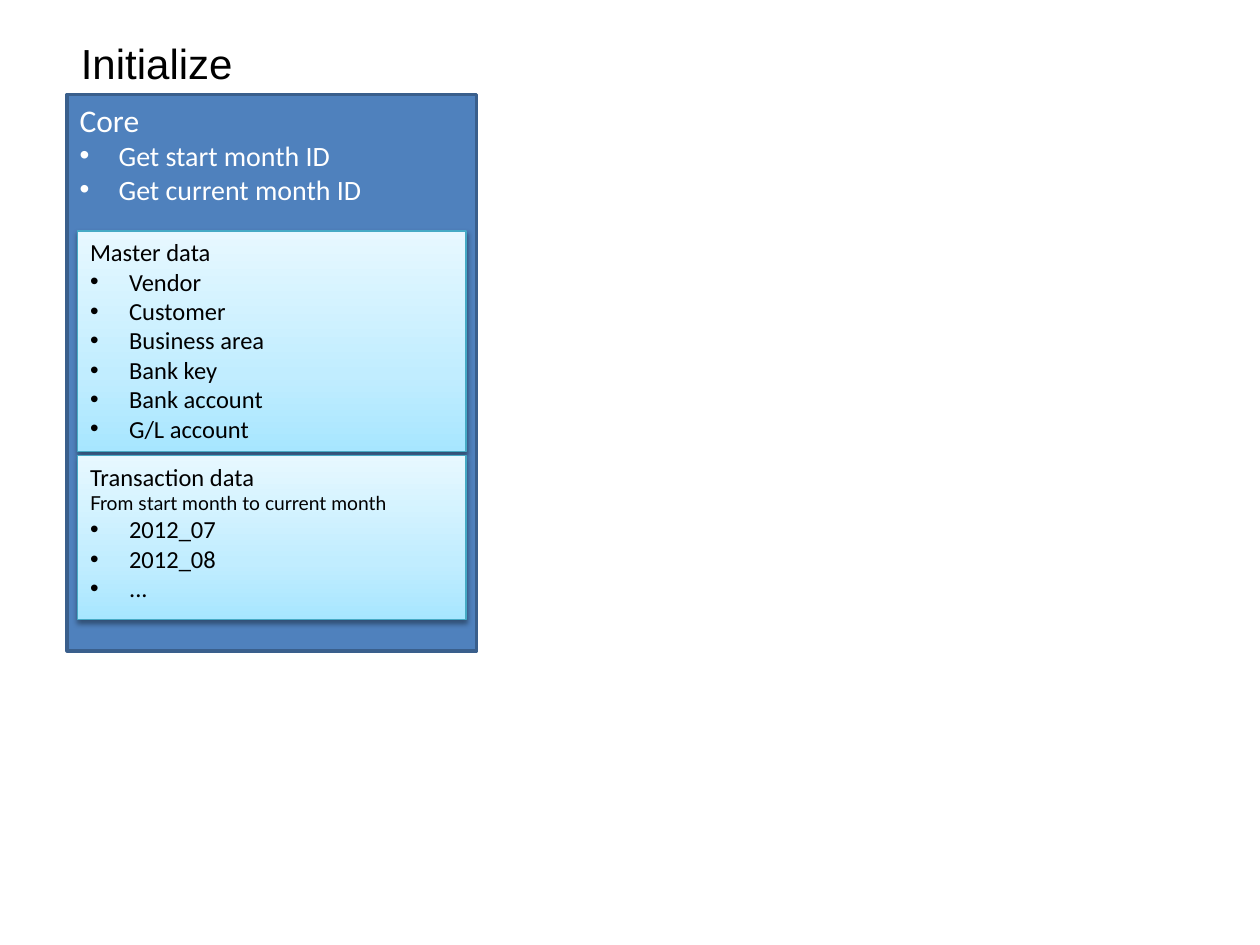
from dataclasses import dataclass

from lxml.etree import SubElement
from pptx import Presentation
from pptx.dml.color import RGBColor
from pptx.enum.shapes import MSO_SHAPE
from pptx.enum.text import MSO_ANCHOR, MSO_AUTO_SIZE, PP_ALIGN
from pptx.oxml.ns import qn
from pptx.util import Inches, Pt


@dataclass(frozen=True)
class Theme:
    core_fill: str = "4F81BD"
    core_line: str = "3A5F8C"
    panel_stops: tuple = ((0, "A7E6FF"), (35, "C1EDFF"), (100, "E7F8FF"))
    panel_line: str = "46AAC5"
    light: str = "FFFFFF"
    dark: str = "000000"
    title_font: str = "Arial"
    body_font: str = "Calibri"
    note_font: str = "Lato"
    title_size: int = 24
    core_size: int = 18
    step_size: int = 16
    panel_size: int = 14
    note_size: int = 11


theme = Theme()


def write(frame, text, *, size, color, font=theme.body_font, bullet=False):
    paragraph = frame.paragraphs[0]
    if paragraph.runs:
        paragraph = frame.add_paragraph()
    paragraph.alignment = PP_ALIGN.LEFT
    run = paragraph.add_run()
    run.text = text
    run.font.size = Pt(size)
    run.font.name = font
    run.font.color.rgb = RGBColor.from_string(color)
    if bullet:
        properties = paragraph._p.get_or_add_pPr()
        properties.set("marL", str(Inches(0.31)))
        properties.set("indent", str(-Inches(0.31)))
        SubElement(properties, qn("a:buFont"), typeface="Arial")
        SubElement(properties, qn("a:buChar"), char="•")


def add_box(slide, area, line_color, line_width):
    box = slide.shapes.add_shape(MSO_SHAPE.RECTANGLE, *area)
    box.shadow.inherit = False
    box.line.color.rgb = RGBColor.from_string(line_color)
    box.line.width = Pt(line_width)
    box.text_frame.word_wrap = True
    box.text_frame.vertical_anchor = MSO_ANCHOR.TOP
    return box


deck = Presentation()
deck.slide_width, deck.slide_height = Inches(10), Inches(7.5)
unit = deck.slide_width // 120
slide = deck.slides.add_slide(deck.slide_layouts[5])

core_left, core_top, core_width, core_height = 6.4, 9, 39, 53

title = slide.shapes.title
title.left, title.top = int(6.5 * unit), 3 * unit
title.width, title.height = 17 * unit, 6 * unit
title.text_frame.word_wrap = False
title.text_frame.auto_size = MSO_AUTO_SIZE.NONE
title.text_frame.vertical_anchor = MSO_ANCHOR.TOP
write(title.text_frame, "Initialize", size=theme.title_size,
      color=theme.dark, font=theme.title_font)

core_area = [int(n * unit) for n in (core_left, core_top, core_width, core_height)]
core = add_box(slide, core_area, theme.core_line, 2)
core.fill.solid()
core.fill.fore_color.rgb = RGBColor.from_string(theme.core_fill)
write(core.text_frame, "Core", size=theme.core_size, color=theme.light)
for step in ("Get start month ID", "Get current month ID"):
    write(core.text_frame, step, size=theme.step_size, color=theme.light, bullet=True)

panels = (
    ("Master data", None, 21,
     ("Vendor", "Customer", "Business area", "Bank key", "Bank account", "G/L account")),
    ("Transaction data", "From start month to current month", 15.6,
     ("2012_07", "2012_08", "...")),
)
panel_top, panel_gap = 22, 0.4
for heading, note, height, entries in panels:
    area = [int(n * unit) for n in (core_left + 1, panel_top, core_width - 2, height)]
    panel = add_box(slide, area, theme.panel_line, 0.75)
    panel_top += height + panel_gap

    panel.fill.gradient()
    panel.fill.gradient_angle = 90
    stops = panel._element.spPr.find(".//" + qn("a:gsLst"))
    stops.clear()
    for position, color in theme.panel_stops:
        stop = SubElement(stops, qn("a:gs"), pos=str(position * 1000))
        SubElement(stop, qn("a:srgbClr"), val=color)

    effects = panel._element.spPr.find(qn("a:effectLst"))
    shadow = SubElement(effects, qn("a:outerShdw"), blurRad=str(Pt(3.1)),
                        dist=str(Pt(1.6)), dir="5400000", rotWithShape="0")
    shade = SubElement(shadow, qn("a:srgbClr"), val=theme.dark)
    SubElement(shade, qn("a:alpha"), val="38000")

    write(panel.text_frame, heading, size=theme.panel_size, color=theme.dark)
    if note:
        write(panel.text_frame, note, size=theme.note_size,
              color=theme.dark, font=theme.note_font)
    for entry in entries:
        write(panel.text_frame, entry, size=theme.panel_size, color=theme.dark, bullet=True)

deck.save("out.pptx")
